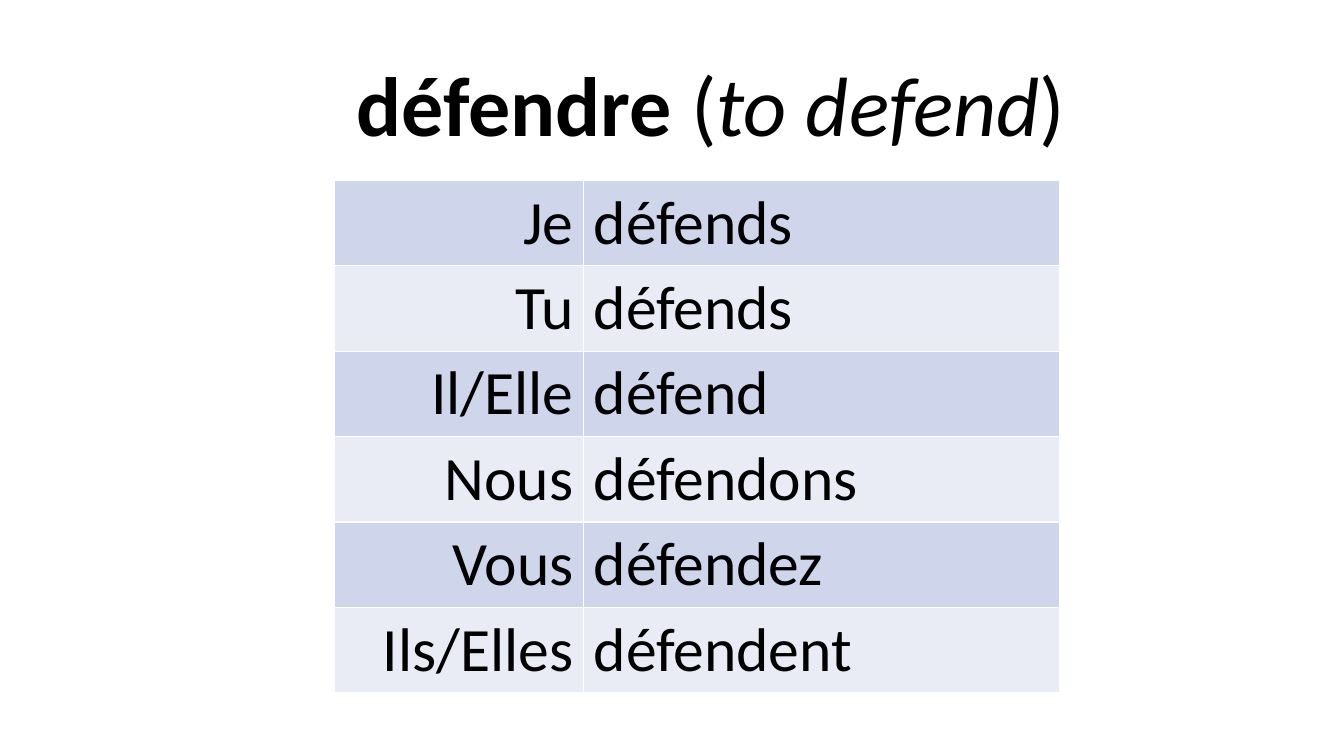
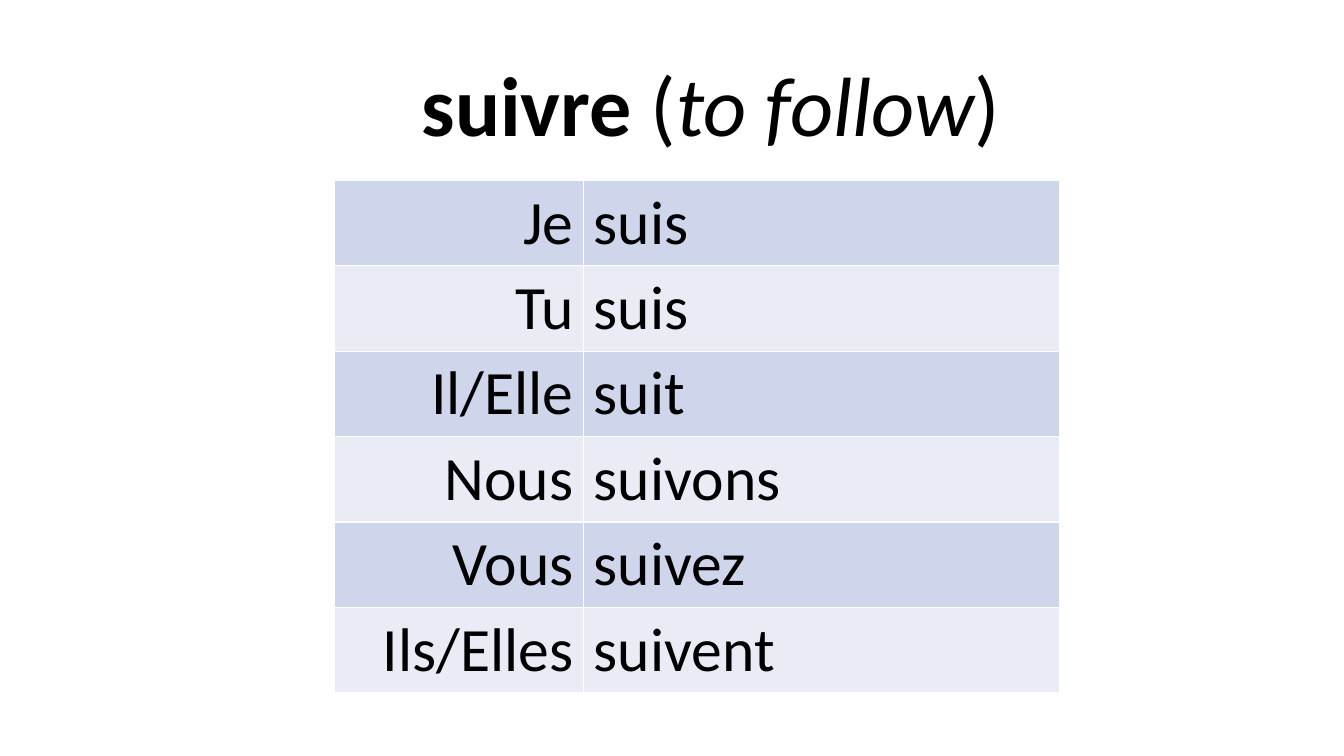
from pptx import Presentation
from pptx.dml.color import RGBColor as RGB
from pptx.enum.text import MSO_ANCHOR as Anchor, MSO_AUTO_SIZE as Fit, PP_ALIGN as Align
from pptx.oxml import parse_xml
from pptx.oxml.ns import nsdecls
from pptx.util import Inches, Pt

# Places, in percent of the slide's width and height
TITLE = (12.5, 5.87, 80.8, 15.2)
TABLE = (24.9, 23.87)
COLS = (18.53, 35.41)
TALL = 66.67

# Wording
WHO = ("Je", "Tu", "Il/Elle", "Nous", "Vous", "Ils/Elles")
VERBS = (
    ("défendre", "to defend",
     ("défends", "défends", "défend", "défendons", "défendez", "défendent")),
    ("suivre", "to follow",
     ("suis", "suis", "suit", "suivons", "suivez", "suivent")),
)


def color(code):
    return RGB.from_string(code)


class Deck:
    face, ink, rule = "Calibri", "000000", "FFFFFF"
    bands = ("CFD5EA", "E9EBF5")

    def __init__(self):
        self.prs = Presentation()
        self.prs.slide_width = Inches(13.33)
        self.prs.slide_height = Inches(7.5)
        self.slide = None

    def x(self, share):
        return round(self.prs.slide_width * share / 100)

    def y(self, share):
        return round(self.prs.slide_height * share / 100)

    def page(self):
        self.slide = self.prs.slides.add_slide(self.prs.slide_layouts[5])

    def run(self, para, text, size, **more):
        run = para.add_run()
        run.text = text
        style = {"name": self.face, "size": Pt(size), "bold": False, "italic": False}
        for key, val in {**style, **more}.items():
            setattr(run.font, key, val)
        run.font.color.rgb = color(self.ink)

    def title(self, verb, sense):
        box = self.slide.shapes.title
        left, top, wide, tall = TITLE
        place = {"left": self.x(left), "top": self.y(top),
                 "width": self.x(wide), "height": self.y(tall)}
        for key, val in place.items():
            setattr(box, key, val)
        frame = box.text_frame
        frame.auto_size = Fit.NONE
        frame.vertical_anchor = Anchor.BOTTOM
        para = frame.paragraphs[0]
        para.alignment = Align.CENTER
        para.line_spacing = 0.9
        self.run(para, verb, 60, bold=True)
        self.run(para, " (", 60)
        self.run(para, sense, 60, italic=True)
        self.run(para, ")", 60)

    def cell(self, cell, text, fill, align):
        # Borders come before the fill in the cell's XML
        props = cell._tc.get_or_add_tcPr()
        for side in "LRTB":
            props.append(parse_xml(
                f'<a:ln{side} {nsdecls("a")} w="{Pt(1)}"><a:solidFill>'
                f'<a:srgbClr val="{self.rule}"/></a:solidFill></a:ln{side}>'))
        cell.fill.solid()
        cell.fill.fore_color.rgb = color(fill)
        para = cell.text_frame.paragraphs[0]
        para.alignment = align
        self.run(para, text, 44)

    def table(self, rows):
        left, top = TABLE
        table = self.slide.shapes.add_table(
            len(rows), len(COLS), self.x(left), self.y(top),
            self.x(sum(COLS)), self.y(TALL)).table
        table.first_row = table.horz_banding = False
        for col, wide in zip(table.columns, COLS):
            col.width = self.x(wide)
        for i, row in enumerate(rows):
            fill = self.bands[i % 2]
            for j, (text, align) in enumerate(zip(row, (Align.RIGHT, Align.LEFT))):
                self.cell(table.cell(i, j), text, fill, align)


def main():
    deck = Deck()
    for verb, sense, forms in VERBS:
        deck.page()
        deck.title(verb, sense)
        deck.table(list(zip(WHO, forms)))
    deck.prs.save("out.pptx")


if __name__ == "__main__":
    main()
